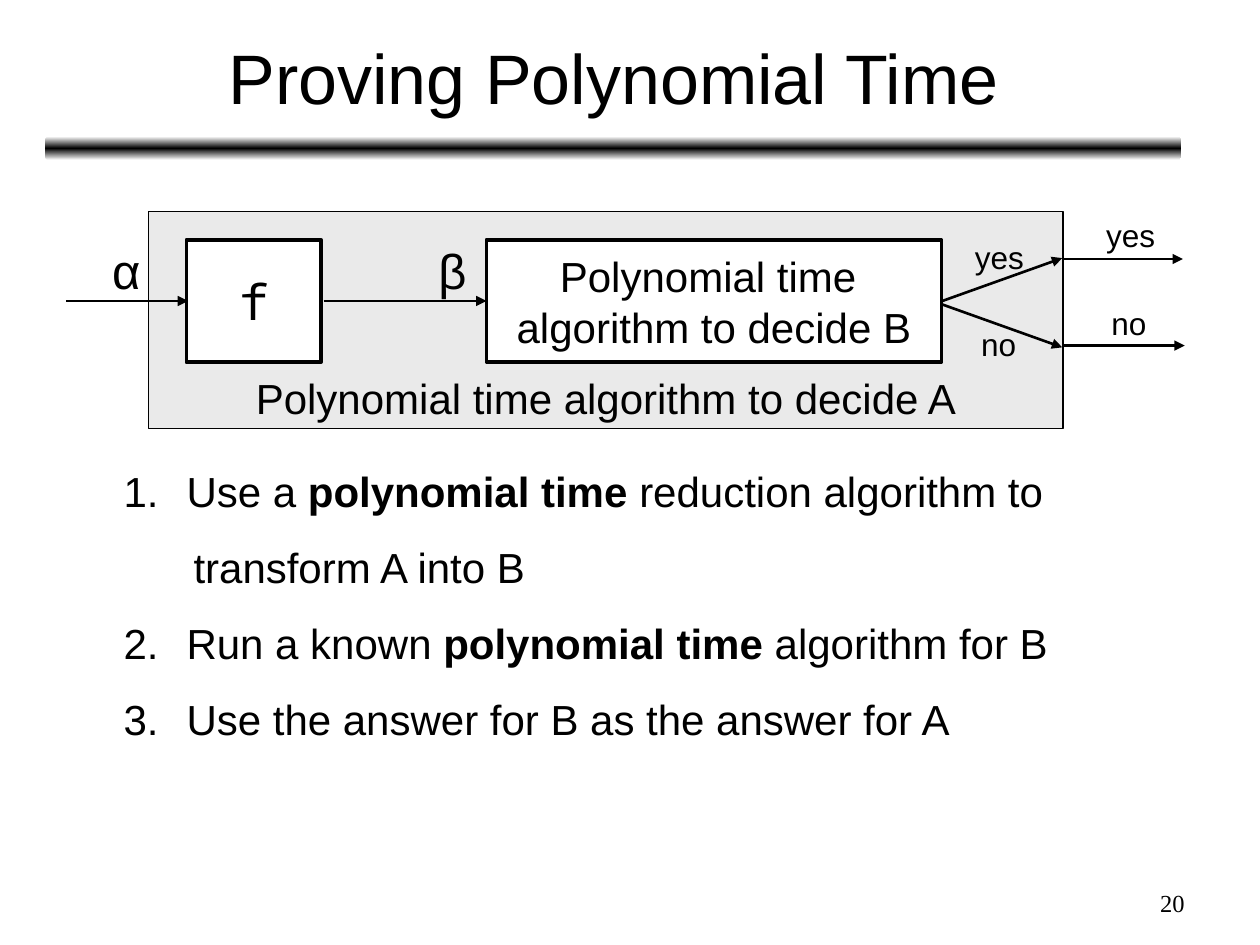
from lxml.etree import SubElement
from pptx import Presentation
from pptx.dml.color import RGBColor
from pptx.enum.shapes import MSO_CONNECTOR, MSO_SHAPE
from pptx.enum.text import MSO_ANCHOR, PP_ALIGN
from pptx.oxml.ns import qn
from pptx.util import Pt

BLACK = RGBColor(0, 0, 0)
WHITE = RGBColor(255, 255, 255)
GRAY = RGBColor(0xEA, 0xEA, 0xEA)
SANS, MONO, SERIF = "Arial", "Noto Sans Mono", "Times New Roman"

TITLE = "Proving Polynomial Time"
BOXES = [
    ("Polynomial time algorithm to decide A", (85, 121, 522.5, 124),
     GRAY, 0.75, MSO_ANCHOR.BOTTOM, SANS, 24),
    ("f", (106.5, 137, 77, 70), WHITE, 2, MSO_ANCHOR.MIDDLE, MONO, 28),
    ("Polynomial time \nalgorithm to decide B", (278, 137, 260, 70),
     WHITE, 2, MSO_ANCHOR.MIDDLE, SANS, 24),
]
ARROWS = [
    (38, 172, 107.5, 172),
    (185, 172, 278, 172),
    (538.5, 172, 607, 147.5),
    (538.5, 174, 607, 198.5),
    (607, 148, 676, 148),
    (607.5, 197.5, 677, 197.5),
]
LABELS = [
    ("α", (57, 134, 32, 41), 28),
    ("β", (243.5, 134, 30, 41), 28),
    ("yes", (550, 132.5, 42.5, 29), 18),
    ("no", (553.5, 182, 35, 29), 18),
    ("yes", (625, 120, 42.5, 29), 18),
    ("no", (628, 170, 35, 29), 18),
]
STEPS = [
    (1, [("Use a ", False), ("polynomial time", True), (" reduction algorithm to", False)]),
    (None, [("transform A into B", False)]),
    (2, [("Run a known ", False), ("polynomial time", True), (" algorithm for B", False)]),
    (2, [("Use the answer for B as the answer for A", False)]),
]
STEPS_AT = (27.5, 254, 669, 241)
NUMBER, NUMBER_AT = "20", (516, 504, 168, 25)


def place(sp, box):
    sp.left, sp.top, sp.width, sp.height = map(Pt, box)


def style(tf, font, size, align=PP_ALIGN.LEFT):
    for p in tf.paragraphs:
        p.alignment = align
        for r in p.runs:
            r.font.name = font
            r.font.size = Pt(size)
            r.font.color.rgb = BLACK


def add_text(s, text, box, font, size, align=PP_ALIGN.LEFT, wrap=False):
    tf = s.shapes.add_textbox(*map(Pt, box)).text_frame
    tf.text = text
    tf.word_wrap = wrap
    style(tf, font, size, align)


def add_rule(s):
    sp = s.shapes.add_shape(MSO_SHAPE.ROUNDED_RECTANGLE, *map(Pt, (26, 78, 649, 13.5)))
    sp.shadow.inherit = False
    sp.line.fill.background()
    sp.fill.gradient()
    sp.fill.gradient_angle = 90
    stops = sp.fill._fill._gradFill.find(qn("a:gsLst"))
    stops.clear()
    for pos, color in ((0, WHITE), (50000, BLACK), (100000, WHITE)):
        stop = SubElement(stops, qn("a:gs"), pos=str(pos))
        SubElement(stop, qn("a:srgbClr"), val=str(color))


def add_box(s, text, box, fill, line, anchor, font, size):
    sp = s.shapes.add_shape(MSO_SHAPE.RECTANGLE, *map(Pt, box))
    sp.shadow.inherit = False
    sp.fill.solid()
    sp.fill.fore_color.rgb = fill
    sp.line.color.rgb = BLACK
    sp.line.width = Pt(line)
    tf = sp.text_frame
    tf.text = text
    tf.word_wrap = False
    tf.vertical_anchor = anchor
    style(tf, font, size, PP_ALIGN.CENTER)


def add_arrow(s, ends):
    c = s.shapes.add_connector(MSO_CONNECTOR.STRAIGHT, *map(Pt, ends))
    c.line.color.rgb = BLACK
    c.line.width = Pt(1.5)
    SubElement(c.line._get_or_add_ln(), qn("a:tailEnd"), type="triangle")
    SubElement(c._element.spPr, qn("a:effectLst"))


def add_steps(s):
    tf = s.shapes.add_textbox(*map(Pt, STEPS_AT)).text_frame
    tf.word_wrap = True
    for i, (start, parts) in enumerate(STEPS):
        p = tf.paragraphs[0] if i == 0 else tf.add_paragraph()
        p.line_spacing = 1.3
        p.space_before = Pt(6)
        for text, bold in parts:
            r = p.add_run()
            r.text = text
            r.font.bold = bold
        pPr = p._p.get_or_add_pPr()
        pPr.set("marL", str(Pt(72 if start else 76)))
        pPr.set("indent", str(Pt(-36 if start else 0)))
        if start:
            SubElement(pPr, qn("a:buAutoNum"), type="arabicPeriod", startAt=str(start))
        else:
            SubElement(pPr, qn("a:buNone"))
    style(tf, SANS, 24)


def main():
    prs = Presentation()
    prs.slide_width, prs.slide_height = Pt(720), Pt(540)
    s = prs.slides.add_slide(prs.slide_layouts[5])

    title = s.shapes.title
    place(title, (26.5, 8, 648, 71))
    title.text_frame.text = TITLE
    title.text_frame.vertical_anchor = MSO_ANCHOR.MIDDLE
    style(title.text_frame, SANS, 40, PP_ALIGN.CENTER)

    add_rule(s)
    add_steps(s)
    for box in BOXES:
        add_box(s, *box)
    for ends in ARROWS:
        add_arrow(s, ends)
    for text, box, size in LABELS:
        add_text(s, text, box, SANS, size)
    add_text(s, NUMBER, NUMBER_AT, SERIF, 14, PP_ALIGN.RIGHT, True)
    prs.save("out.pptx")


if __name__ == "__main__":
    main()
